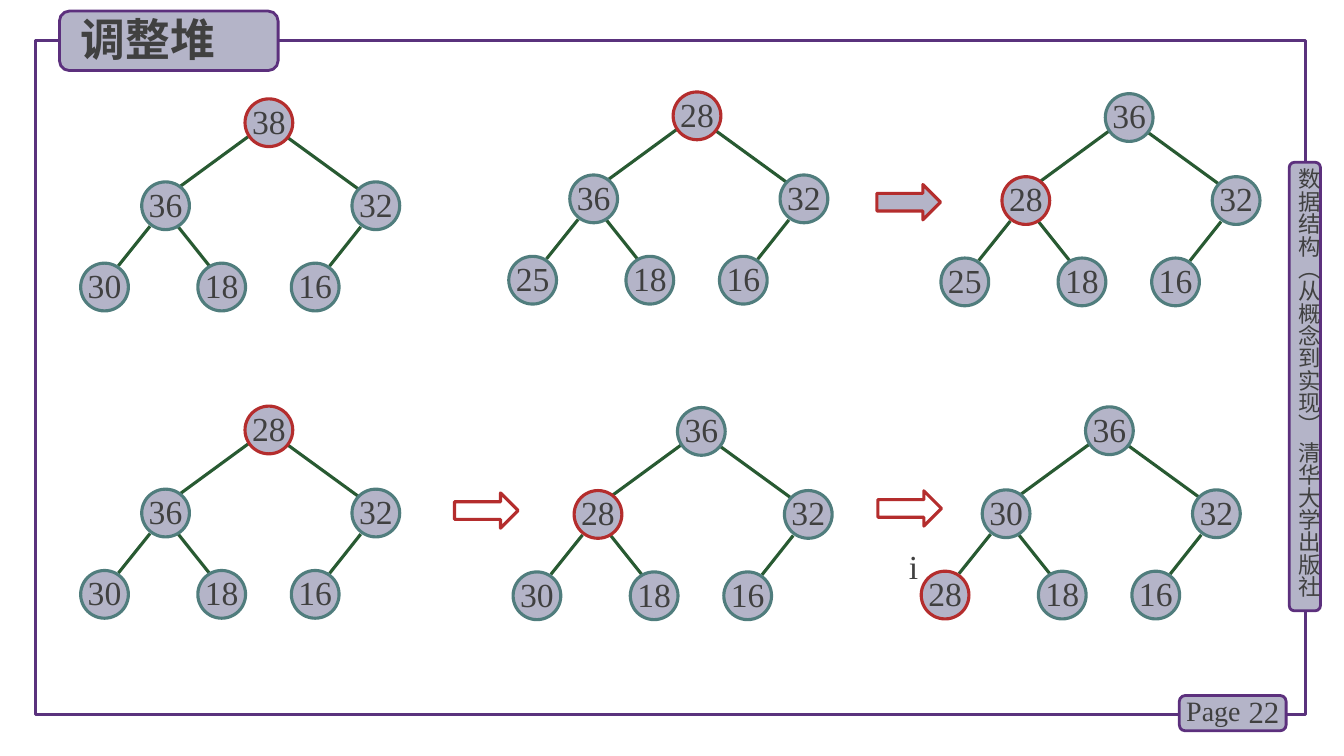
from dataclasses import dataclass

from lxml import etree
from pptx import Presentation
from pptx.dml.color import RGBColor
from pptx.enum.shapes import MSO_CONNECTOR, MSO_SHAPE
from pptx.enum.text import MSO_ANCHOR, PP_ALIGN
from pptx.oxml.ns import qn
from pptx.shapes.autoshape import Shape
from pptx.slide import Slide
from pptx.text.text import TextFrame
from pptx.util import Pt

STRAIGHT = MSO_CONNECTOR.STRAIGHT
RECTANGLE = MSO_SHAPE.RECTANGLE
ROUNDED = MSO_SHAPE.ROUNDED_RECTANGLE
OVAL = MSO_SHAPE.OVAL
RIGHT_ARROW = MSO_SHAPE.RIGHT_ARROW
TOP, MIDDLE = MSO_ANCHOR.TOP, MSO_ANCHOR.MIDDLE
LEFT, CENTER, RIGHT = PP_ALIGN.LEFT, PP_ALIGN.CENTER, PP_ALIGN.RIGHT

LAVENDER = RGBColor(0xB4, 0xB4, 0xC8)
FRAME_PURPLE = RGBColor(0x5A, 0x32, 0x7D)
LABEL_PURPLE = RGBColor(0x5C, 0x30, 0x7D)
RED = RGBColor(0xB4, 0x2D, 0x2D)
TEAL = RGBColor(0x50, 0x7D, 0x7D)
GREEN = RGBColor(0x28, 0x5A, 0x32)
TEXT_GRAY = RGBColor(0x40, 0x40, 0x40)

SERIF = "Times New Roman"
CHINESE = "Noto Sans CJK SC"

NODE_SIZE = 34.1
NODE_OFFSETS = [(117.4, 0), (43.6, 59.3), (193.8, 59.3),
                (0, 117.4), (83.7, 117.4), (150.5, 117.4)]
EDGES = [(119.7, 27, 69.7, 63.6), (148.3, 28, 198.6, 64.6),
         (49.6, 91, 27, 119.2), (69.7, 91.4, 92.1, 119.5),
         (200.1, 91.4, 177.8, 119.5)]


@dataclass
class Box:
    left: float
    top: float
    width: float
    height: float


@dataclass
class Heap:
    left: float
    top: float
    values: tuple[int, ...]
    active: int


@dataclass
class Label:
    text: str
    box: Box
    size: float
    font: str = SERIF
    bold: bool = False
    align: PP_ALIGN = LEFT
    anchor: MSO_ANCHOR = TOP
    vertical: bool = False


@dataclass
class Arrow:
    left: float
    top: float
    filled: bool


FRAME = Box(25.2, 28.8, 907.2, 481.7)
PLATES = [Box(920.9, 115.9, 22.3, 320.4), Box(842.4, 496.8, 76.3, 25.2),
          Box(42.5, 7.9, 156.2, 42.5)]
LABELS = [
    Label("数据结构（从概念到实现） 清华大学出版社", Box(925.2, 120.2, 19.4, 323.3),
          16, CHINESE, vertical=True),
    Label("22", Box(878.4, 493.9, 42.5, 28.8), 22, align=RIGHT, anchor=MIDDLE),
    Label("Page", Box(840.2, 491.8, 56.2, 31.7), 20),
    Label("调整堆", Box(50.4, 5, 144.7, 46.1), 32, CHINESE, bold=True),
    Label("i", Box(642.2, 386.6, 28.8, 36), 24),
]
HEAPS = [
    Heap(57.6, 70.6, (38, 36, 32, 30, 18, 16), 0),
    Heap(363.4, 65.7, (28, 36, 32, 25, 18, 16), 0),
    Heap(672.1, 66.9, (36, 28, 32, 25, 18, 16), 1),
    Heap(57.6, 290.1, (28, 36, 32, 30, 18, 16), 0),
    Heap(366.5, 291.1, (36, 28, 32, 30, 18, 16), 1),
    Heap(658, 290.6, (36, 30, 32, 28, 18, 16), 3),
]
ARROWS = [Arrow(626.4, 131.8, True), Arrow(324.7, 352.1, False),
          Arrow(627.1, 350.6, False)]


def add_outline(slide: Slide, kind: MSO_SHAPE, box: Box, line: RGBColor,
                weight: float, fill: RGBColor | None = LAVENDER) -> Shape:
    shape = slide.shapes.add_shape(kind, Pt(box.left), Pt(box.top), Pt(box.width), Pt(box.height))
    shape.shadow.inherit = False
    if fill is None:
        shape.fill.background()
    else:
        shape.fill.solid()
        shape.fill.fore_color.rgb = fill
    shape.line.color.rgb = line
    shape.line.width = Pt(weight)
    return shape


def clear_margins(frame: TextFrame) -> None:
    frame.margin_left = frame.margin_top = frame.margin_right = frame.margin_bottom = 0


def write_text(frame: TextFrame, text: str, size: float, font: str = SERIF,
               bold: bool = False, align: PP_ALIGN = LEFT) -> None:
    paragraph = frame.paragraphs[0]
    run = paragraph.add_run()
    run.text = text
    paragraph.alignment = align
    paragraph.font.size = Pt(size)
    paragraph.font.bold = bold
    paragraph.font.color.rgb = TEXT_GRAY
    paragraph.font.name = font
    if font == CHINESE:
        run.font.name = font
        etree.SubElement(run.font._element, qn("a:ea"), typeface=font)


def add_label(slide: Slide, label: Label) -> None:
    box = label.box
    shape = slide.shapes.add_textbox(Pt(box.left), Pt(box.top), Pt(box.width), Pt(box.height))
    frame = shape.text_frame
    frame.word_wrap = True
    frame.vertical_anchor = label.anchor
    if label.vertical:
        clear_margins(frame)
        frame._txBody.bodyPr.set("vert", "eaVert")
    write_text(frame, label.text, label.size, label.font, label.bold, label.align)


def add_edge(slide: Slide, x1: float, y1: float, x2: float, y2: float) -> None:
    edge = slide.shapes.add_connector(STRAIGHT, Pt(x1), Pt(y1), Pt(x2), Pt(y2))
    edge.line.color.rgb = GREEN
    edge.line.width = Pt(2.25)
    etree.SubElement(edge._element.spPr, qn("a:effectLst"))


def add_node(slide: Slide, left: float, top: float, value: int, color: RGBColor) -> None:
    node = add_outline(slide, OVAL, Box(left, top, NODE_SIZE, NODE_SIZE), color, 2.25)
    frame = node.text_frame
    clear_margins(frame)
    frame.vertical_anchor = TOP
    write_text(frame, str(value), 24, align=CENTER)
    frame.paragraphs[0].line_spacing = Pt(25)


def add_heap(slide: Slide, heap: Heap) -> None:
    for x1, y1, x2, y2 in EDGES:
        add_edge(slide, heap.left + x1, heap.top + y1, heap.left + x2, heap.top + y2)
    for index, ((x, y), value) in enumerate(zip(NODE_OFFSETS, heap.values)):
        color = RED if index == heap.active else TEAL
        add_node(slide, heap.left + x, heap.top + y, value, color)


def main() -> None:
    presentation = Presentation()
    presentation.slide_width = Pt(960)
    presentation.slide_height = Pt(540)
    slide = presentation.slides.add_slide(presentation.slide_layouts[6])
    add_outline(slide, RECTANGLE, FRAME, FRAME_PURPLE, 2.25, None)
    for plate in PLATES:
        add_outline(slide, ROUNDED, plate, LABEL_PURPLE, 2)
    for heap in HEAPS:
        add_heap(slide, heap)
    for arrow in ARROWS:
        add_outline(slide, RIGHT_ARROW, Box(arrow.left, arrow.top, 45.4, 25.2), RED, 2.25,
                    LAVENDER if arrow.filled else None)
    for label in LABELS:
        add_label(slide, label)
    presentation.save("out.pptx")


if __name__ == "__main__":
    main()
